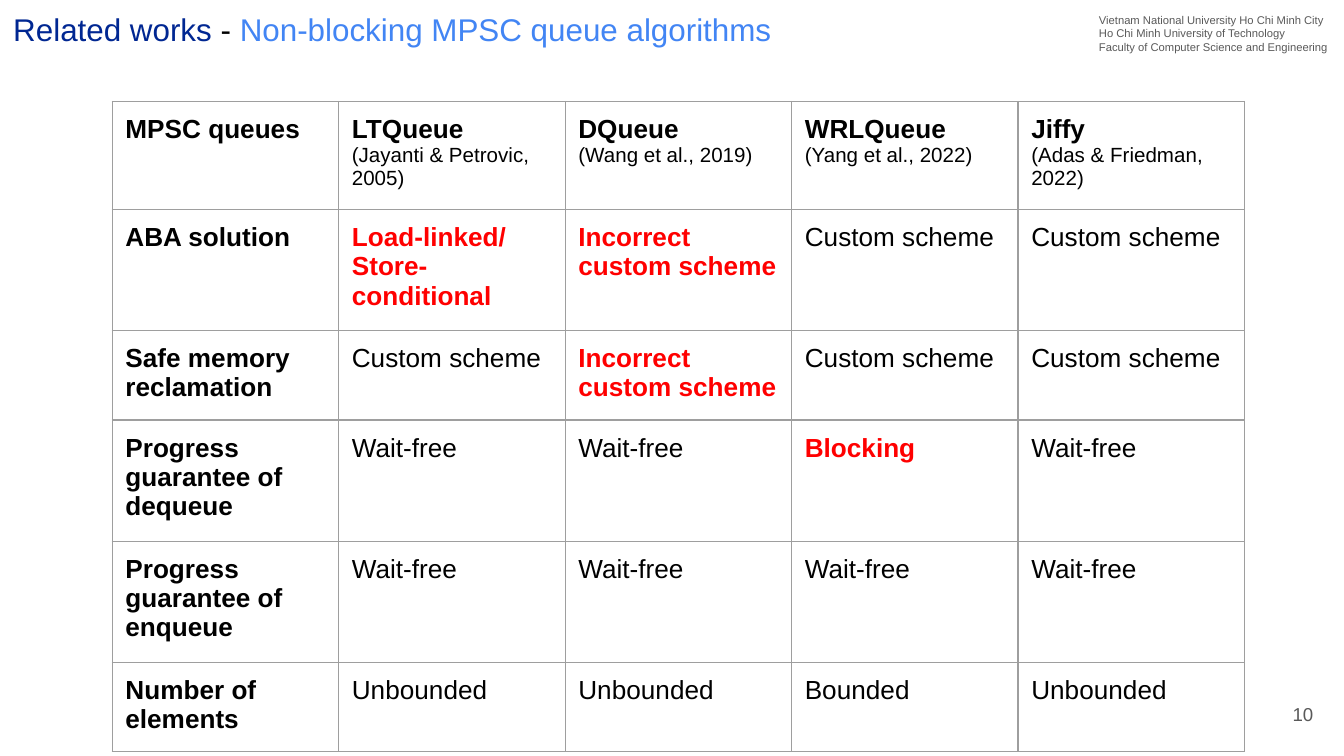
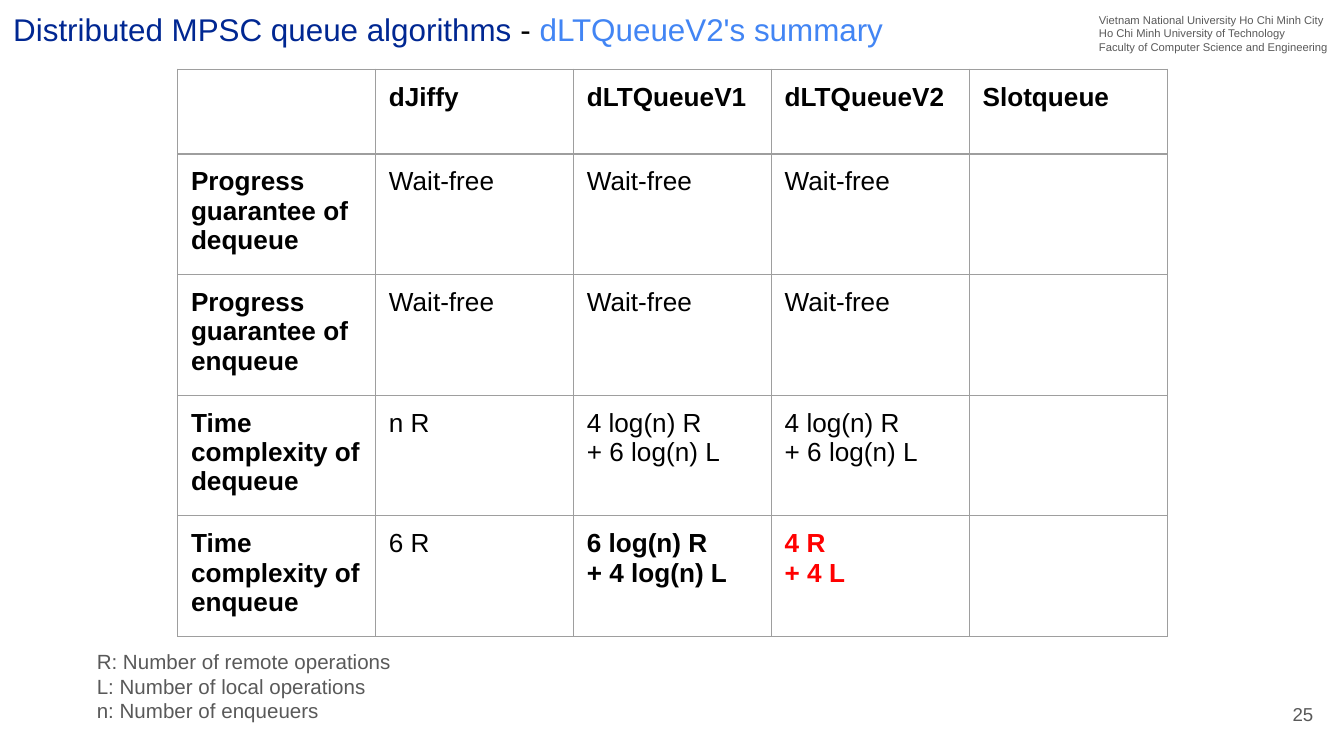
from lxml.etree import SubElement
from pptx import Presentation
from pptx.dml.color import RGBColor
from pptx.enum.text import MSO_ANCHOR, MSO_AUTO_SIZE, PP_ALIGN
from pptx.oxml.ns import qn
from pptx.util import Cm, Pt

COLORS = {
    "section": "002792",
    "topic": "4285F4",
    "ink": "000000",
    "alert": "FF0000",
    "muted": "595959",
    "border": "9E9E9E",
}
INSET = Cm(0.25)
AFFILIATION = [
    "Vietnam National University Ho Chi Minh City",
    "Ho Chi Minh University of Technology",
    "Faculty of Computer Science and Engineering",
]
EMPHASIS = {
    "Load-linked/Store-conditional": "alert",
    "Incorrect custom scheme": "alert",
    "Blocking": "alert",
    "6 log(n) R\n+ 4 log(n) L": "ink",
    "4 R\n+ 4 L": "alert",
}
SLIDES = [
    {
        "title": ("Related works ", "- ", "Non-blocking MPSC queue algorithms"),
        "number": "10",
        "corner": (2.12, 1.92),
        "column": 4.28,
        "heights": [2.04, 2.29, 1.69, 2.29, 2.29, 1.69],
        "rows": [
            ["MPSC queues", "LTQueue\n(Jayanti & Petrovic, 2005)", "DQueue\n(Wang et al., 2019)",
             "WRLQueue\n(Yang et al., 2022)", "Jiffy\n(Adas & Friedman, 2022)"],
            ["ABA solution", "Load-linked/Store-conditional", "Incorrect custom scheme",
             "Custom scheme", "Custom scheme"],
            ["Safe memory reclamation", "Custom scheme", "Incorrect custom scheme",
             "Custom scheme", "Custom scheme"],
            ["Progress guarantee of dequeue", "Wait-free", "Wait-free", "Blocking", "Wait-free"],
            ["Progress guarantee of enqueue", "Wait-free", "Wait-free", "Wait-free", "Wait-free"],
            ["Number of elements", "Unbounded", "Unbounded", "Bounded", "Unbounded"],
        ],
        "legend": [],
    },
    {
        "title": ("Distributed MPSC queue algorithms ", "-", " dLTQueueV2's summary"),
        "number": "25",
        "corner": (3.36, 1.31),
        "column": 3.74,
        "heights": [1.6, 2.19, 2.19, 2.19, 2.19],
        "rows": [
            ["", "dJiffy", "dLTQueueV1", "dLTQueueV2", "Slotqueue"],
            ["Progress guarantee of dequeue", "Wait-free", "Wait-free", "Wait-free", ""],
            ["Progress guarantee of enqueue", "Wait-free", "Wait-free", "Wait-free", ""],
            ["Time complexity of dequeue", "n R", "4 log(n) R\n+ 6 log(n) L",
             "4 log(n) R\n+ 6 log(n) L", ""],
            ["Time complexity of enqueue", "6 R", "6 log(n) R\n+ 4 log(n) L", "4 R\n+ 4 L", ""],
        ],
        "legend": [
            "R: Number of remote operations",
            "L: Number of local operations",
            "n: Number of enqueuers",
        ],
    },
]


def add_run(paragraph, text, size, color, bold=False):
    run = paragraph.add_run()
    run.text = text
    run.font.name = "Arial"
    run.font.size = Pt(size)
    run.font.bold = bold
    run.font.color.rgb = RGBColor.from_string(COLORS[color])


def add_lines(slide, box, lines, size, align=PP_ALIGN.LEFT, anchor=MSO_ANCHOR.TOP):
    frame = slide.shapes.add_textbox(*[Cm(length) for length in box]).text_frame
    frame.word_wrap = True
    frame.vertical_anchor = anchor
    for index, line in enumerate(lines):
        paragraph = frame.add_paragraph() if index else frame.paragraphs[0]
        paragraph.alignment = align
        add_run(paragraph, line, size, "muted")
    frame.margin_left = frame.margin_right = frame.margin_top = frame.margin_bottom = INSET


deck = Presentation()
deck.slide_width, deck.slide_height = Cm(25.4), Cm(14.29)

for content in SLIDES:
    slide = deck.slides.add_slide(deck.slide_layouts[5])

    heading = slide.shapes.title
    heading.left, heading.top, heading.width, heading.height = Cm(0), Cm(0), Cm(18.2), Cm(1.15)
    title = heading.text_frame
    title.auto_size = MSO_AUTO_SIZE.NONE
    title.word_wrap = True
    title.vertical_anchor = MSO_ANCHOR.BOTTOM
    title.margin_left = title.margin_right = title.margin_top = title.margin_bottom = INSET
    title.paragraphs[0].alignment = PP_ALIGN.LEFT
    for text, color in zip(content["title"], ("section", "ink", "topic")):
        add_run(title.paragraphs[0], text, 16.8, color)

    add_lines(slide, (20.52, 0, 4.88, 1.27), AFFILIATION, 6)
    add_lines(slide, (23.55, 12.95, 1.52, 1.09), [content["number"]], 10,
              PP_ALIGN.RIGHT, MSO_ANCHOR.MIDDLE)

    rows, heights = content["rows"], content["heights"]
    left, top = content["corner"]
    comparison = slide.shapes.add_table(
        len(rows), len(rows[0]), Cm(left), Cm(top),
        Cm(content["column"] * len(rows[0])), Cm(sum(heights))).table
    comparison.first_row = comparison.horz_banding = False
    for column in comparison.columns:
        column.width = Cm(content["column"])
    for r, (entries, height) in enumerate(zip(rows, heights)):
        comparison.rows[r].height = Cm(height)
        for c, entry in enumerate(entries):
            cell = comparison.cell(r, c)
            cell.margin_left = cell.margin_right = cell.margin_top = cell.margin_bottom = INSET
            properties = cell._tc.get_or_add_tcPr()
            for side in ("a:lnL", "a:lnR", "a:lnT", "a:lnB"):
                border = SubElement(properties, qn(side), w=str(Pt(0.75)))
                SubElement(SubElement(border, qn("a:solidFill")), qn("a:srgbClr"),
                           val=COLORS["border"])
            cell.fill.background()
            if not entry:
                continue
            strong = r == 0 or c == 0 or entry in EMPHASIS
            for index, line in enumerate(entry.split("\n")):
                frame = cell.text_frame
                paragraph = frame.add_paragraph() if index else frame.paragraphs[0]
                citation = line.startswith("(")
                add_run(paragraph, line, 11 if citation else 14,
                        EMPHASIS.get(entry, "ink"), strong and not citation)

    if content["legend"]:
        add_lines(slide, (1.58, 12.02, 20.45, 1.93), content["legend"], 11)

deck.save("out.pptx")
